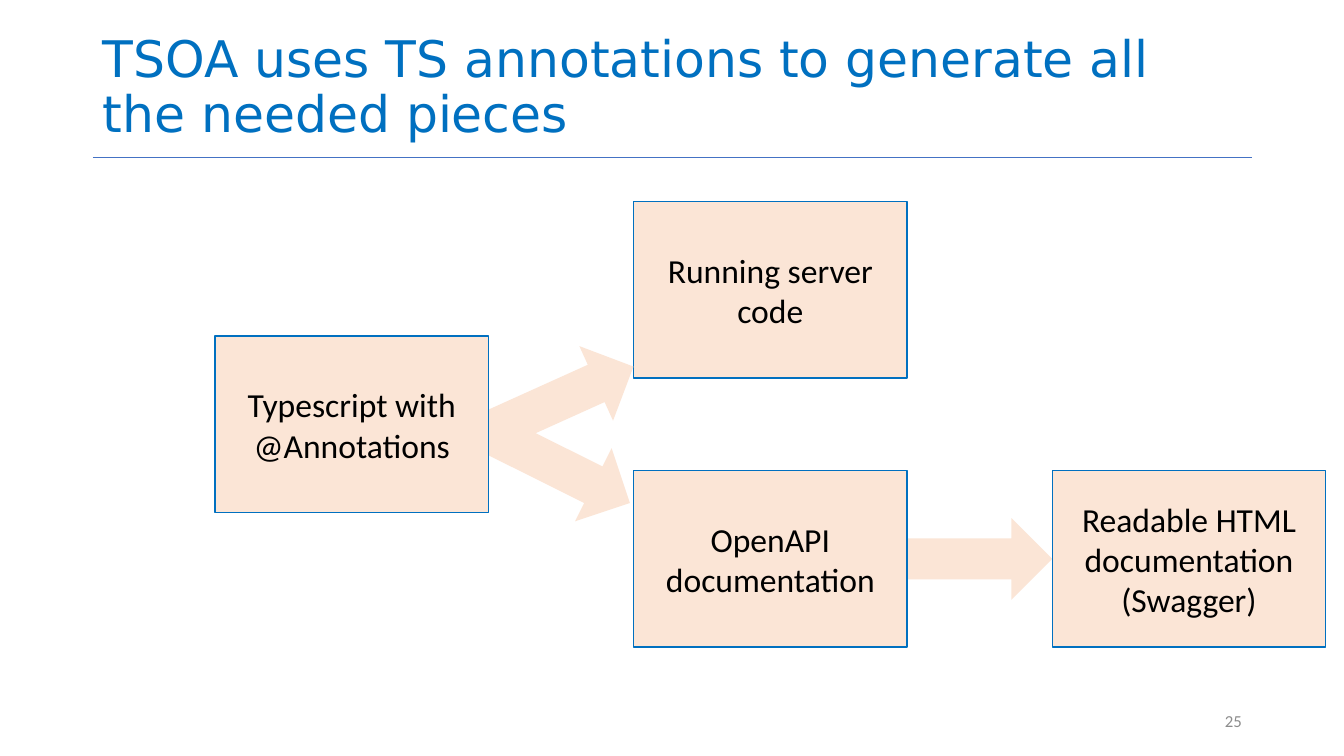
from dataclasses import dataclass

from lxml.etree import SubElement
from pptx import Presentation
from pptx.dml.color import RGBColor
from pptx.enum.shapes import MSO_CONNECTOR, MSO_SHAPE
from pptx.enum.text import MSO_ANCHOR, PP_ALIGN
from pptx.oxml.ns import qn
from pptx.util import Cm, Pt


@dataclass(frozen=True)
class Theme:
    accent: str = "0070C0"
    fill: str = "FBE5D6"
    ink: str = "000000"
    muted: str = "8C8C8C"
    rule: str = "4472C4"
    title_font: str = "DejaVu Sans"
    body_font: str = "Calibri"
    title_size: int = 36
    body_size: int = 24
    number_size: int = 12


THEME = Theme()


def rgb(value):
    return RGBColor.from_string(value)


def write(sp, text, font, size, color, align, anchor):
    tf = sp.text_frame
    tf.word_wrap = True
    tf.vertical_anchor = anchor
    p = tf.paragraphs[0]
    p.alignment = align
    r = p.add_run()
    r.text = text
    r.font.name = font
    r.font.size = Pt(size)
    r.font.color.rgb = rgb(color)
    return p


def add_title(s, text, left, top, width, height):
    sp = s.shapes.add_textbox(Cm(left), Cm(top), Cm(width), Cm(height))
    p = write(sp, text, THEME.title_font, THEME.title_size, THEME.accent,
              PP_ALIGN.LEFT, MSO_ANCHOR.BOTTOM)
    p.line_spacing = 0.9
    y = Cm(top + height + 0.23)
    rule = s.shapes.add_connector(
        MSO_CONNECTOR.STRAIGHT, Cm(left), y, Cm(left + width), y)
    rule.line.color.rgb = rgb(THEME.rule)
    rule.line.width = Pt(0.5)
    SubElement(rule._element.spPr, qn("a:effectLst"))


def add_number(s, text, left, top, width, height):
    sp = s.shapes.add_textbox(Cm(left), Cm(top), Cm(width), Cm(height))
    write(sp, text, THEME.body_font, THEME.number_size, THEME.muted,
          PP_ALIGN.RIGHT, MSO_ANCHOR.MIDDLE)


def add_filled(s, kind, left, top, width, height):
    sp = s.shapes.add_shape(kind, Cm(left), Cm(top), Cm(width), Cm(height))
    sp.shadow.inherit = False
    sp.fill.solid()
    sp.fill.fore_color.rgb = rgb(THEME.fill)
    return sp


def add_arrow(s, center_x, center_y, length, rotation=0):
    thickness = 2.06
    sp = add_filled(s, MSO_SHAPE.RIGHT_ARROW, center_x - length / 2,
                    center_y - thickness / 2, length, thickness)
    sp.line.fill.background()
    sp.rotation = rotation


def add_step(s, text, left, top, width, height):
    sp = add_filled(s, MSO_SHAPE.RECTANGLE, left, top, width, height)
    sp.line.color.rgb = rgb(THEME.accent)
    sp.line.width = Pt(1)
    write(sp, text, THEME.body_font, THEME.body_size, THEME.ink,
          PP_ALIGN.CENTER, MSO_ANCHOR.MIDDLE)


def add_flow(s, left, top, width, height):
    step_w, step_h = 6.89, 4.45
    col_pitch = (width - step_w) / 2
    row_pitch = (height - step_h) / 2

    def step(text, col, row):
        add_step(s, text, left + col * col_pitch, top + row * row_pitch,
                 step_w, step_h)

    add_arrow(s, left + 17.15, top + 2 * row_pitch + step_h / 2, 7.9)
    step("Running server code", 1, 0)
    step("OpenAPI documentation", 1, 2)
    add_arrow(s, left + 8.5, top + 6.62, 4.37, 26.5)
    add_arrow(s, left + 8.59, top + 5.04, 4.29, 335.7)
    step("Typescript with @Annotations", 0, 1)
    step("Readable HTML documentation (Swagger)", 2, 2)


def main():
    prs = Presentation()
    prs.slide_width, prs.slide_height = Cm(33.87), Cm(19.05)
    s = prs.slides.add_slide(prs.slide_layouts[6])
    add_title(s, "TSOA uses TS annotations to generate all the needed pieces",
              2.34, 0.05, 29.21, 3.68)
    add_flow(s, 5.42, 5.08, 27.99, 11.23)
    add_number(s, "25", 23.93, 17.65, 7.62, 1.02)
    prs.save("out.pptx")


if __name__ == "__main__":
    main()
